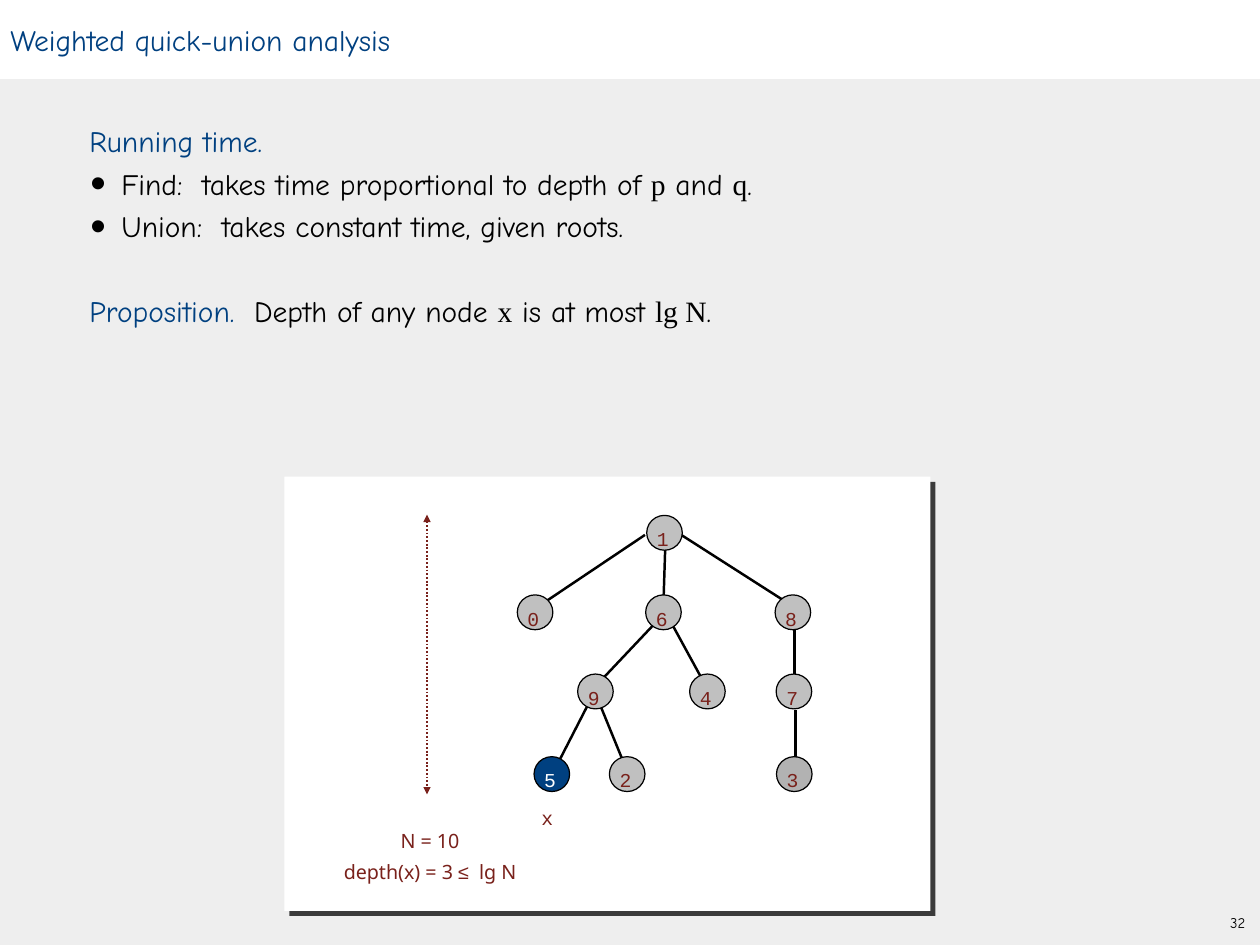
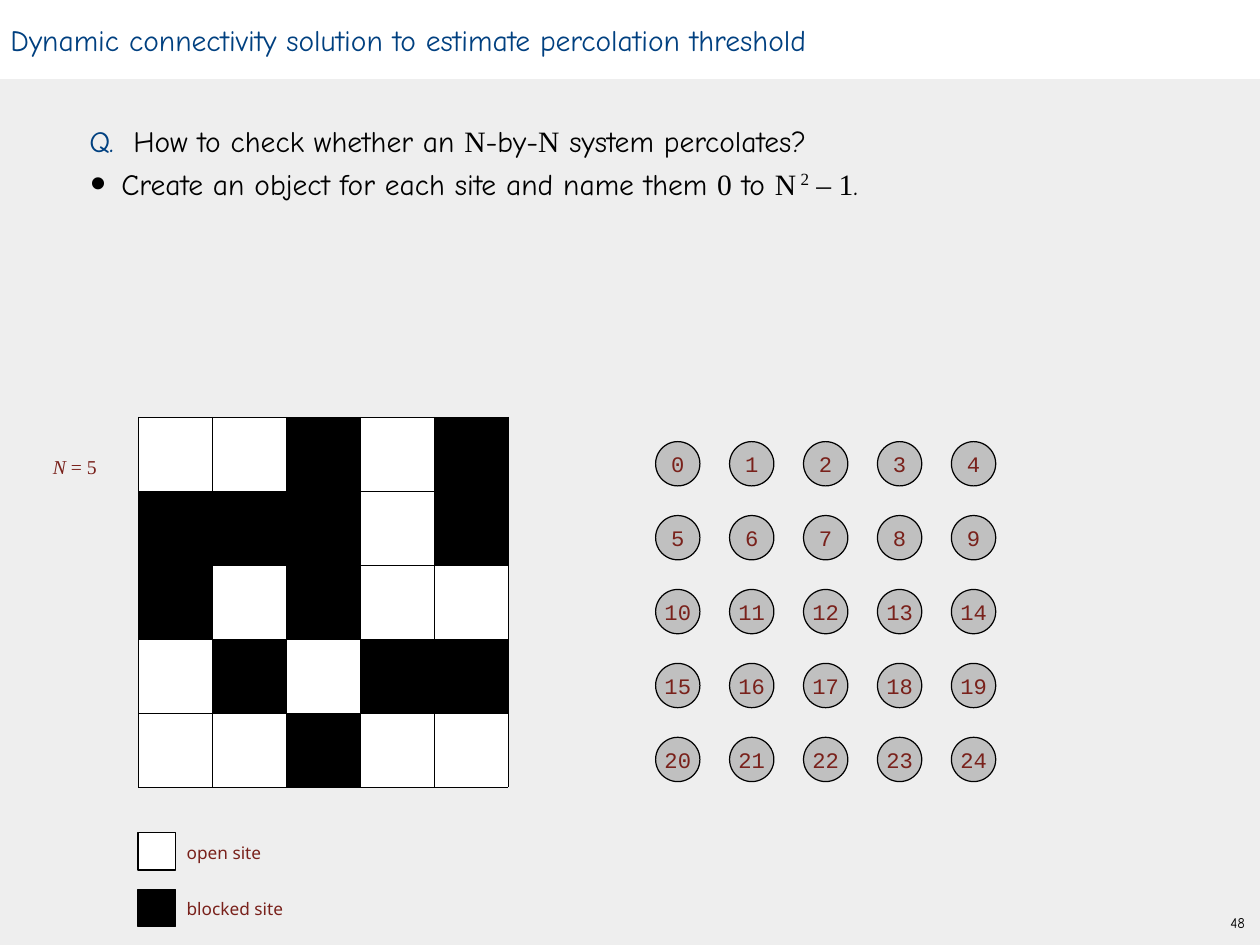
from dataclasses import dataclass

from lxml import etree
from pptx import Presentation
from pptx import util as u
from pptx.dml import color
from pptx.enum import dml, shapes, text
from pptx.oxml import ns

Cm, Pt = u.Cm, u.Pt


@dataclass(frozen=True)
class Theme:
    page: str = "EEEEEE"
    white: str = "FFFFFF"
    black: str = "000000"
    blue: str = "004080"
    red: str = "79211B"
    grey: str = "C0C0C0"
    dark_grey: str = "B2B2B2"
    hand: str = "Comic Neue"
    serif: str = "Times New Roman"
    mono: str = "Courier New"
    sans: str = "Noto Sans"
    symbol: str = "Arial"
    heading: int = 24
    site: int = 18
    label: int = 16
    legend: int = 14
    page_number: int = 12


T = Theme()
WIDTH, HEIGHT = 36.12, 27.1
LEFT, CENTER = text.PP_ALIGN.LEFT, text.PP_ALIGN.CENTER
MIDDLE = text.MSO_ANCHOR.MIDDLE


def rgb(value):
    return color.RGBColor.from_string(value)


def child(parent, tag, **attributes):
    return etree.SubElement(parent, ns.qn(tag), attributes)


class Deck:
    def __init__(self):
        self.prs = Presentation()
        self.prs.slide_width, self.prs.slide_height = Cm(WIDTH), Cm(HEIGHT)
        background = self.prs.slide_master.background.fill
        background.solid()
        background.fore_color.rgb = rgb(T.page)
        self.slide = None

    def new_slide(self, title, number):
        self.slide = self.prs.slides.add_slide(self.prs.slide_layouts[5])
        band = self.slide.shapes.title
        band.left, band.top, band.width, band.height = Cm(0), Cm(0), Cm(WIDTH), Cm(2.26)
        self.paint(band, T.white)
        self.frame(band.text_frame, (0.3, 0.15, 0.46, 0.15), MIDDLE)
        band.text_frame.text = title
        self.style(band.text_frame.paragraphs[0], T.heading, T.hand, T.blue)
        self.label(str(number), 35.1, 26.04, 0.76, 0.84, T.page_number,
                   T.hand, T.black, align=CENTER, anchor=MIDDLE)

    def paint(self, shape, fill, outline=None):
        shape.fill.solid()
        shape.fill.fore_color.rgb = rgb(fill)
        if outline:
            shape.line.color.rgb = rgb(outline)
            shape.line.width = Pt(1)
        else:
            shape.line.fill.background()

    def frame(self, frame, insets, anchor):
        frame.word_wrap = True
        frame.auto_size = text.MSO_AUTO_SIZE.NONE
        frame.vertical_anchor = anchor
        (frame.margin_left, frame.margin_top,
         frame.margin_right, frame.margin_bottom) = map(Cm, insets)

    def style(self, paragraph, size, font, ink, align=LEFT, spacing=1.0):
        paragraph.alignment = align
        paragraph.line_spacing = spacing
        for run in paragraph.runs:
            self.ink(run, size, font, ink)

    def ink(self, run, size, font, ink):
        run.font.size, run.font.name = Pt(size), font
        run.font.color.rgb = rgb(ink)

    def textbox(self, left, top, width, height, insets=(0, 0, 0, 0),
                anchor=text.MSO_ANCHOR.TOP):
        box = self.slide.shapes.add_textbox(Cm(left), Cm(top), Cm(width), Cm(height))
        self.frame(box.text_frame, insets, anchor)
        return box.text_frame

    def label(self, words, left, top, width, height, size, font, ink,
              align=LEFT, spacing=1.0, anchor=text.MSO_ANCHOR.TOP):
        frame = self.textbox(left, top, width, height, anchor=anchor)
        frame.text = words
        for paragraph in frame.paragraphs:
            self.style(paragraph, size, font, ink, align, spacing)

    def runs(self, paragraph, parts, size):
        for words, font, ink in parts:
            run = paragraph.add_run()
            run.text = words
            self.ink(run, size, font, ink)

    def body(self, lines):
        frame = self.textbox(2.26, 3.18, 31.6, 22.58, (0.15, 0.15, 0.46, 0.15))
        for index, (bulleted, gap, parts) in enumerate(lines):
            paragraph = frame.paragraphs[0] if index == 0 else frame.add_paragraph()
            paragraph.line_spacing = 1.2
            if gap:
                paragraph.space_before = Pt(gap)
            properties = paragraph._p.get_or_add_pPr()
            properties.set("marL", str(Cm(1.07 if bulleted else 0.15)))
            properties.set("indent", str(Cm(-0.89 if bulleted else 0)))
            if bulleted:
                child(properties, "a:buSzPct", val="150000")
                child(properties, "a:buFont", typeface=T.symbol)
                child(properties, "a:buChar", char="•")
            self.runs(paragraph, parts, T.heading)
        return frame

    def shape(self, kind, left, top, width, height, fill, outline=None):
        item = self.slide.shapes.add_shape(kind, Cm(left), Cm(top), Cm(width), Cm(height))
        item.shadow.inherit = False
        self.paint(item, fill, outline)
        return item

    def rectangle(self, left, top, width, height, fill, outline=None):
        return self.shape(shapes.MSO_SHAPE.RECTANGLE, left, top, width, height, fill, outline)

    def panel(self, left, top, width, height):
        panel = self.rectangle(left, top, width, height, T.white)
        effects = panel._element.spPr.find(ns.qn("a:effectLst"))
        shadow = child(effects, "a:outerShdw", blurRad="0", dist=str(Pt(6)),
                       dir="2700000", algn="tl", rotWithShape="0")
        child(child(shadow, "a:srgbClr", val=T.black), "a:alpha", val="75000")

    def node(self, name, center, width, height, size, fill=T.grey, ink=T.red,
             spacing=1.0, right_inset=0):
        x, y = center
        circle = self.shape(shapes.MSO_SHAPE.OVAL, x - width / 2, y - height / 2,
                            width, height, fill, T.black)
        self.frame(circle.text_frame, (0, 0, right_inset, 0), MIDDLE)
        circle.text_frame.word_wrap = False
        circle.text_frame.text = name
        self.style(circle.text_frame.paragraphs[0], size, T.mono, ink, CENTER, spacing)

    def line(self, start, end, ink=T.black, width=2.0):
        line = self.slide.shapes.add_connector(
            shapes.MSO_CONNECTOR.STRAIGHT, *map(Cm, start + end))
        line.line.color.rgb = rgb(ink)
        line.line.width = Pt(width)
        child(line._element.spPr, "a:effectLst")
        return line

    def depth_arrow(self, start, end):
        arrow = self.line(start, end, T.red, 1.5)
        arrow.line.dash_style = dml.MSO_LINE.ROUND_DOT
        stroke = arrow.line._get_or_add_ln()
        for tip in ("a:headEnd", "a:tailEnd"):
            child(stroke, tip, type="triangle")

    def sites(self, rows, left, top, pitch):
        side = Cm(pitch * len(rows))
        table = self.slide.shapes.add_table(
            len(rows), len(rows[0]), Cm(left), Cm(top), side, side).table
        table.first_row = table.horz_banding = False
        for track in (*table.columns,):
            track.width = Cm(pitch)
        for r, row in enumerate(rows):
            table.rows[r].height = Cm(pitch)
            for c, state in enumerate(row):
                cell = table.cell(r, c)
                properties = cell._tc.get_or_add_tcPr()
                for edge in ("a:lnL", "a:lnR", "a:lnT", "a:lnB"):
                    border = child(properties, edge, w=str(Pt(0.25)))
                    child(child(border, "a:solidFill"), "a:srgbClr", val=T.black)
                cell.fill.solid()
                cell.fill.fore_color.rgb = rgb(T.black if state == "#" else T.white)


def hand(words, ink=T.black):
    return words, T.hand, ink


def serif(words, ink=T.black):
    return words, T.serif, ink


def weighted_union(deck):
    deck.new_slide("Weighted quick-union analysis", 32)
    deck.body([
        (False, 0, [hand("Running time.", T.blue)]),
        (True, 0, [hand("Find:  takes time proportional to depth of "), serif("p"),
                   hand(" and "), serif("q"), hand(".")]),
        (True, 0, [hand("Union:  takes constant time, given roots.")]),
        (False, 34.5, [hand("Proposition.  ", T.blue), hand("Depth of any node "),
                       serif("x"), hand(" is at most "), serif("lg N"), hand(".")]),
    ])
    deck.panel(8.15, 13.67, 18.52, 12.45)

    edges = [
        ((18.49, 15.34), (15.39, 17.42)), ((19.08, 15.42), (19.02, 17.25)),
        ((19.53, 15.34), (22.78, 17.42)), ((19.13, 17.5), (17.09, 19.66)),
        ((19.2, 17.78), (20.09, 19.41)), ((22.78, 17.7), (22.78, 19.48)),
        ((17.07, 19.79), (15.9, 22.07)), ((16.99, 19.69), (17.96, 22.07)),
        ((22.81, 20.35), (22.81, 22.07)),
    ]
    for start, end in edges:
        deck.line(start, end)

    levels = [
        (15.28, {"1": 19.05}),
        (17.56, {"0": 15.34, "6": 19.02, "8": 22.73}),
        (19.83, {"9": 17.07, "4": 20.28, "7": 22.76}),
        (22.2, {"5": 15.82, "2": 17.98, "3": 22.77}),
    ]
    fills = {"5": T.blue, "3": T.dark_grey}
    inks = {"5": T.white}
    for y, level in levels:
        for name, x in level.items():
            deck.node(name, (x, y), 1.02, 1, T.label, fills.get(name, T.grey),
                      inks.get(name, T.red), spacing=1.5, right_inset=0.1)

    deck.label("x", 15.52, 22.78, 0.66, 0.91, T.label, T.mono, T.red, spacing=1.5)
    deck.depth_arrow((12.24, 14.76), (12.24, 22.78))

    bound = deck.textbox(9.42, 23.57, 5.82, 1.8)
    bound.text = "N = 10"
    depth = bound.add_paragraph()
    deck.runs(depth, [("depth(x) = 3 ", T.sans, T.red), ("≤", T.symbol, T.red),
                      ("  lg N", T.sans, T.red)], T.label)
    deck.style(bound.paragraphs[0], T.label, T.sans, T.red)
    for paragraph in bound.paragraphs:
        paragraph.alignment, paragraph.line_spacing = CENTER, 1.3


def percolation(deck):
    deck.new_slide("Dynamic connectivity solution to estimate percolation threshold", 48)
    question = deck.body([
        (False, 0, [hand("Q.  ", T.blue), hand("How to check whether an "), serif("N"),
                    hand("-by-"), serif("N"), hand(" system percolates?")]),
        (True, 0, [hand("Create an object for each site and name them "), serif("0"),
                   hand(" to "), serif("N"), serif(" 2"), serif(" – 1"), hand(".")]),
    ])
    exponent = question.paragraphs[1].runs[4]
    exponent._r.get_or_add_rPr().set("baseline", "32000")

    pitch, count = 2.12, 5
    deck.sites(["..#.#", "###.#", "#.#..", ".#.##", "..#.."], 3.96, 11.96, pitch)

    legend = [("open site", T.white), ("blocked site", T.black)]
    for index, (meaning, fill) in enumerate(legend):
        top = 23.88 + index * 1.62
        deck.rectangle(3.96, top, 1.07, 1.07, fill, T.black)
        deck.label(meaning, 5.35, top + 0.15, 5, 0.89, T.legend, T.sans, T.red, spacing=1.2)

    size = deck.textbox(1.52, 12.7, 1.73, 0.97)
    size.paragraphs[0].line_spacing = 1.5
    deck.runs(size.paragraphs[0], [serif("N", T.red), serif(" = 5", T.red)], T.label)
    size.paragraphs[0].runs[0].font.italic = True

    for site in range(count * count):
        row, column = divmod(site, count)
        center = (19.43 + column * pitch, 13.3 + row * pitch)
        deck.node(str(site), center, 1.27, 1.27, T.site)


def main():
    deck = Deck()
    weighted_union(deck)
    percolation(deck)
    deck.prs.save("out.pptx")


if __name__ == "__main__":
    main()
